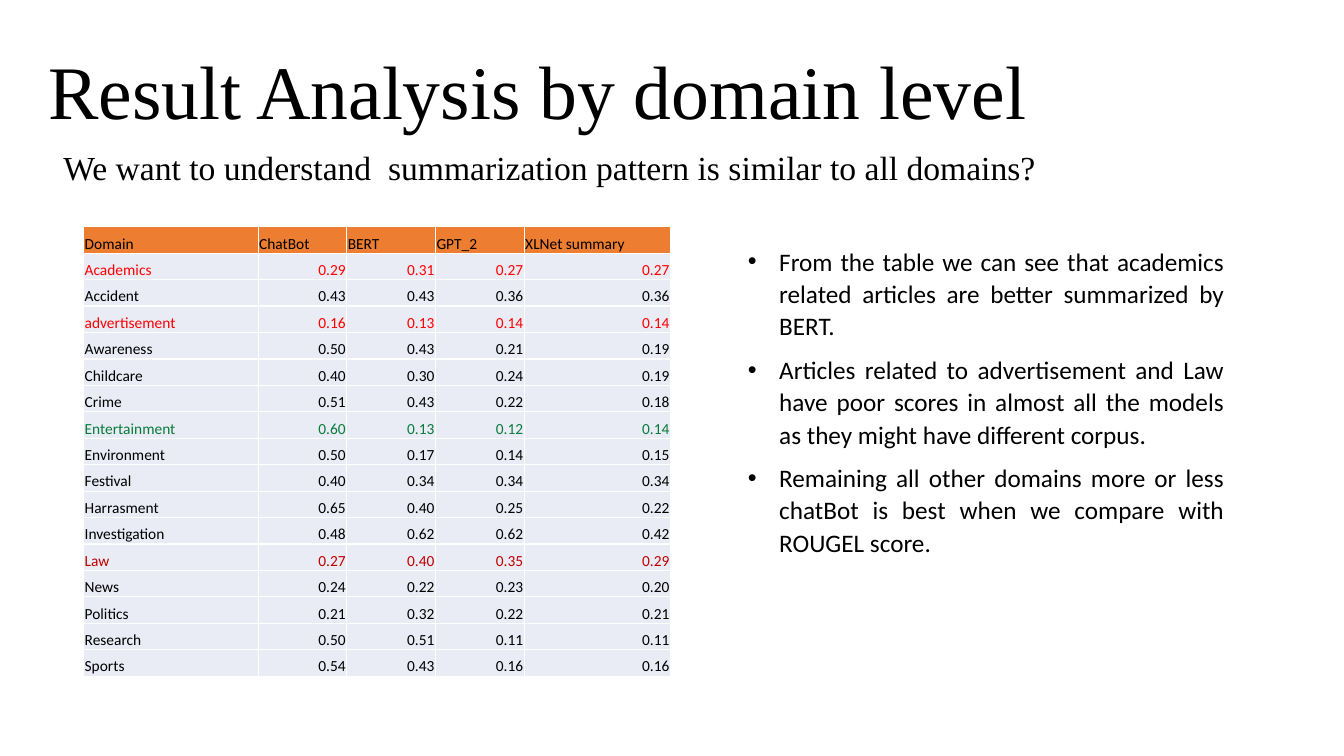
from dataclasses import dataclass

from lxml import etree
from pptx import Presentation
from pptx.dml.color import RGBColor
from pptx.enum.text import MSO_ANCHOR, MSO_AUTO_SIZE, PP_ALIGN
from pptx.oxml.ns import qn
from pptx.util import Inches, Pt

TOP, BOTTOM = MSO_ANCHOR.TOP, MSO_ANCHOR.BOTTOM
FIXED, GROW = MSO_AUTO_SIZE.NONE, MSO_AUTO_SIZE.SHAPE_TO_FIT_TEXT
LEFT, RIGHT, JUSTIFY = PP_ALIGN.LEFT, PP_ALIGN.RIGHT, PP_ALIGN.JUSTIFY
TITLE_ONLY = 5


@dataclass(frozen=True)
class Theme:
    serif: str = "Times New Roman"
    sans: str = "Calibri"
    title_size: int = 54
    question_size: int = 24
    finding_size: int = 18
    cell_size: int = 11
    ink: str = "000000"
    red: str = "FF0000"
    dark_red: str = "C00000"
    green: str = "077B3B"
    header_fill: str = "ED7D31"
    body_fill: str = "E9EBF5"
    border: str = "FFFFFF"


THEME = Theme()

TITLE = "Result Analysis by domain level"
QUESTION = "We want to understand  summarization pattern is similar to all domains?"
FINDINGS = [
    "From the table we can see that academics related articles are better summarized by BERT.",
    "Articles related to advertisement and Law have poor scores in almost all the models "
    "as they might have different corpus.",
    "Remaining all other domains more or less chatBot is best when we compare with ROUGEL score.",
]
HEADER = ["Domain", "ChatBot", "BERT", "GPT_2", "XLNet summary"]
SCORES = [
    ("Academics", 0.29, 0.31, 0.27, 0.27),
    ("Accident", 0.43, 0.43, 0.36, 0.36),
    ("advertisement", 0.16, 0.13, 0.14, 0.14),
    ("Awareness", 0.50, 0.43, 0.21, 0.19),
    ("Childcare", 0.40, 0.30, 0.24, 0.19),
    ("Crime", 0.51, 0.43, 0.22, 0.18),
    ("Entertainment", 0.60, 0.13, 0.12, 0.14),
    ("Environment", 0.50, 0.17, 0.14, 0.15),
    ("Festival", 0.40, 0.34, 0.34, 0.34),
    ("Harrasment", 0.65, 0.40, 0.25, 0.22),
    ("Investigation", 0.48, 0.62, 0.62, 0.42),
    ("Law", 0.27, 0.40, 0.35, 0.29),
    ("News", 0.24, 0.22, 0.23, 0.20),
    ("Politics", 0.21, 0.32, 0.22, 0.21),
    ("Research", 0.50, 0.51, 0.11, 0.11),
    ("Sports", 0.54, 0.43, 0.16, 0.16),
]
HIGHLIGHTS = {
    "Academics": THEME.red,
    "advertisement": THEME.red,
    "Entertainment": THEME.green,
    "Law": THEME.dark_red,
}
COLUMN_WIDTHS = [1.73, 0.88, 0.88, 0.88, 1.45]


def style_para(para, font_name, size, align, color=THEME.ink):
    para.alignment = align
    para.font.name = font_name
    para.font.size = Pt(size)
    para.font.color.rgb = RGBColor.from_string(color)


def fill_heading(shape, box, text, size, align):
    shape.left, shape.top, shape.width, shape.height = map(Inches, box)
    frame = shape.text_frame
    frame.word_wrap = True
    frame.auto_size = FIXED
    frame.vertical_anchor = TOP
    frame.text = text
    para = frame.paragraphs[0]
    style_para(para, THEME.serif, size, align)
    para.line_spacing = 0.9
    para.space_before = Pt(10)


def add_bullet(para, indent):
    properties = para._p.get_or_add_pPr()
    properties.set("marL", str(indent))
    properties.set("indent", str(-indent))
    font = etree.Element(qn("a:buFont"), typeface="Arial")
    bullet = etree.Element(qn("a:buChar"), char="•")
    position = len(properties.findall(qn("a:lnSpc")) + properties.findall(qn("a:spcAft")))
    properties.insert(position, font)
    properties.insert(position + 1, bullet)


def add_findings(page, box):
    frame = page.shapes.add_textbox(*map(Inches, box)).text_frame
    frame.word_wrap = True
    frame.auto_size = GROW
    frame.text = "\n".join(FINDINGS)
    for para in frame.paragraphs:
        style_para(para, THEME.sans, THEME.finding_size, JUSTIFY)
        para.line_spacing = 1.07
        para.space_after = Pt(8)
        add_bullet(para, Inches(0.31))


def add_borders(cell):
    properties = cell._tc.get_or_add_tcPr()
    for position, side in enumerate(("a:lnL", "a:lnR", "a:lnT", "a:lnB")):
        line = etree.Element(qn(side), w=str(Pt(1)))
        fill = etree.SubElement(line, qn("a:solidFill"))
        etree.SubElement(fill, qn("a:srgbClr"), val=THEME.border)
        properties.insert(position, line)


def fill_cell(cell, text, align, color, fill):
    cell.margin_left = cell.margin_right = cell.margin_top = Inches(0.01)
    cell.margin_bottom = 0
    cell.vertical_anchor = BOTTOM
    cell.fill.solid()
    cell.fill.fore_color.rgb = RGBColor.from_string(fill)
    cell.text = text
    style_para(cell.text_frame.paragraphs[0], THEME.sans, THEME.cell_size, align, color)
    add_borders(cell)


def add_score_table(page, box):
    left, top, width, height = map(Inches, box)
    row_count = len(SCORES) + 1
    table = page.shapes.add_table(row_count, len(HEADER), left, top, width, height).table
    table.first_row = False
    table.horz_banding = False
    for column, column_width in zip(table.columns, COLUMN_WIDTHS):
        column.width = Inches(column_width)
    for row in table.rows:
        row.height = height // row_count
    for index, label in enumerate(HEADER):
        fill_cell(table.cell(0, index), label, LEFT, THEME.ink, THEME.header_fill)
    for row_index, (domain, *scores) in enumerate(SCORES, start=1):
        color = HIGHLIGHTS.get(domain, THEME.ink)
        fill_cell(table.cell(row_index, 0), domain, LEFT, color, THEME.body_fill)
        for index, score in enumerate(scores, start=1):
            fill_cell(table.cell(row_index, index), f"{score:.2f}", RIGHT, color, THEME.body_fill)


def build_result_slide(deck):
    page = deck.slides.add_slide(deck.slide_layouts[TITLE_ONLY])
    fill_heading(page.shapes.title, (0.38, 0.49, 9.94, 1.54), TITLE, THEME.title_size, LEFT)
    question_box = (0.53, 1.45, 11.71, 5.56)
    question = page.shapes.add_textbox(*map(Inches, question_box))
    fill_heading(question, question_box, QUESTION, THEME.question_size, JUSTIFY)
    add_findings(page, (7.32, 2.37, 4.92, 3.66))
    add_score_table(page, (0.83, 2.25, sum(COLUMN_WIDTHS), 4.46))


def main():
    deck = Presentation()
    deck.slide_width = Inches(13.33)
    deck.slide_height = Inches(7.5)
    build_result_slide(deck)
    deck.save("out.pptx")


if __name__ == "__main__":
    main()
